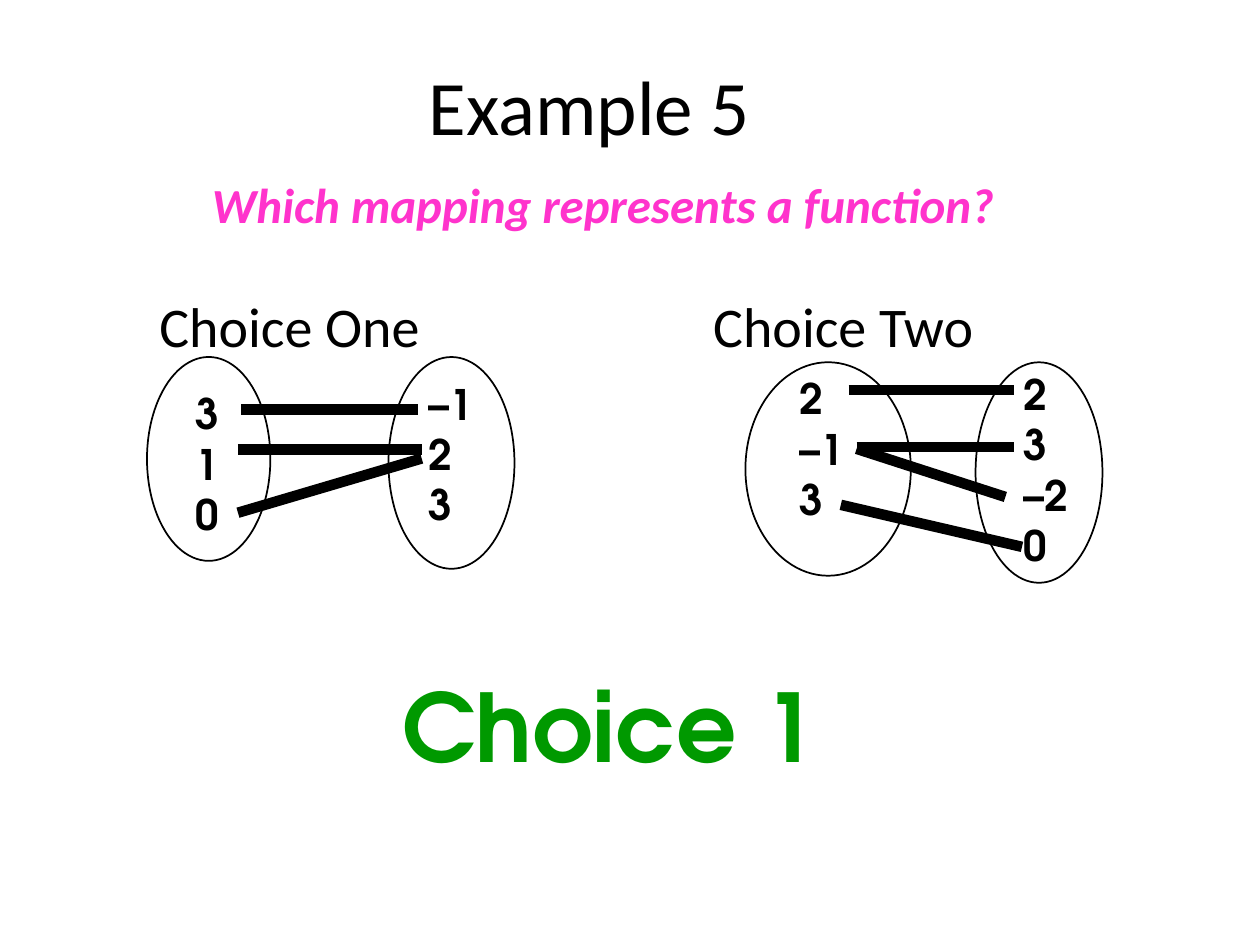
from lxml import etree
from pptx import Presentation
from pptx.dml.color import RGBColor
from pptx.enum.shapes import MSO_CONNECTOR, MSO_SHAPE
from pptx.enum.text import MSO_ANCHOR, PP_ALIGN
from pptx.oxml.ns import qn
from pptx.util import Pt

BLACK = RGBColor(0x00, 0x00, 0x00)
WHITE = RGBColor(0xFF, 0xFF, 0xFF)
PINK = RGBColor(0xFF, 0x33, 0xCC)
GREEN = RGBColor(0x00, 0x99, 0x00)
BODY_FONT = "Calibri"
MATH_FONT = "TeX Gyre Adventor"
LEFT, CENTER = PP_ALIGN.LEFT, PP_ALIGN.CENTER
TOP, MIDDLE = MSO_ANCHOR.TOP, MSO_ANCHOR.MIDDLE
OVAL = MSO_SHAPE.OVAL
STRAIGHT = MSO_CONNECTOR.STRAIGHT

# Each mapping: ovals and value lists as (left, top, width, height),
# arrows as (from x, from y, to x, to y), all in points
CHOICE_ONE = {
    "ovals": [(84, 204, 70.5, 116.5), (222, 204, 72, 121)],
    "links": [(138, 234, 239, 234), (136, 257, 241, 257), (136, 293, 241, 262)],
    "values": [((104.5, 218, 28, 93.5), ["3", "1", "0"]),
               ((238, 212.5, 40, 93.5), ["–1", "2", "3"])],
}
CHOICE_TWO = {
    "ovals": [(426, 207, 94.5, 122), (557.5, 207, 72.5, 126)],
    "links": [(485, 223, 579.5, 223), (489.5, 255.5, 579.5, 255.5),
              (489.5, 256.5, 574.5, 284), (480.5, 288.5, 584, 312.5)],
    "values": [((450, 209.5, 40, 93.5), ["2", "–1", "3"]),
               ((578, 207, 40, 122.5), ["2", "3", "–2", "0"])],
}


def add_text(shapes, frame, lines, size, color=BLACK, font=BODY_FONT, bold=False,
             italic=False, align=LEFT, anchor=TOP, wrap=True):
    box = shapes.add_textbox(*map(Pt, frame))
    text_frame = box.text_frame
    text_frame.word_wrap = wrap
    text_frame.vertical_anchor = anchor
    for index, line in enumerate(lines):
        para = text_frame.add_paragraph() if index else text_frame.paragraphs[0]
        para.alignment = align
        span = para.add_run()
        span.text = line
        span.font.name = font
        span.font.size = Pt(size)
        span.font.bold = bold
        span.font.italic = italic
        span.font.color.rgb = color


def add_oval(shapes, frame):
    oval = shapes.add_shape(OVAL, *map(Pt, frame))
    oval.shadow.inherit = False
    oval.fill.solid()
    oval.fill.fore_color.rgb = WHITE
    oval.line.color.rgb = BLACK
    oval.line.width = Pt(1)


def add_link(shapes, ends):
    link = shapes.add_connector(STRAIGHT, *map(Pt, ends))
    link.line.color.rgb = BLACK
    link.line.width = Pt(6)
    etree.SubElement(link._element.spPr, qn("a:effectLst"))


def add_mapping(page, mapping):
    shapes = page.shapes.add_group_shape().shapes
    for frame in mapping["ovals"]:
        add_oval(shapes, frame)
    for ends in mapping["links"]:
        add_link(shapes, ends)
    for frame, values in mapping["values"]:
        add_text(shapes, frame, values, 24, font=MATH_FONT, bold=True, wrap=False)


def main():
    deck = Presentation()
    deck.slide_width, deck.slide_height = Pt(720), Pt(540)
    page = deck.slides.add_slide(deck.slide_layouts[6])

    # Title and choice headings
    add_text(page.shapes, (30, 30, 613.5, 60), ["Example 5"], 44,
             align=CENTER, anchor=MIDDLE)
    add_text(page.shapes, (84, 163, 200, 46), ["Choice One"], 32)
    add_text(page.shapes, (400.5, 163, 200, 46), ["Choice Two"], 32)

    # Mapping diagrams
    for mapping in (CHOICE_ONE, CHOICE_TWO):
        add_mapping(page, mapping)

    # Question and answer
    add_text(page.shapes, (114, 96, 536, 41), ["Which mapping represents a function?"],
             28, PINK, bold=True, italic=True)
    add_text(page.shapes, (186, 378, 324, 96), ["Choice 1"], 54, GREEN, MATH_FONT,
             bold=True, align=CENTER)

    deck.save("out.pptx")


if __name__ == "__main__":
    main()
